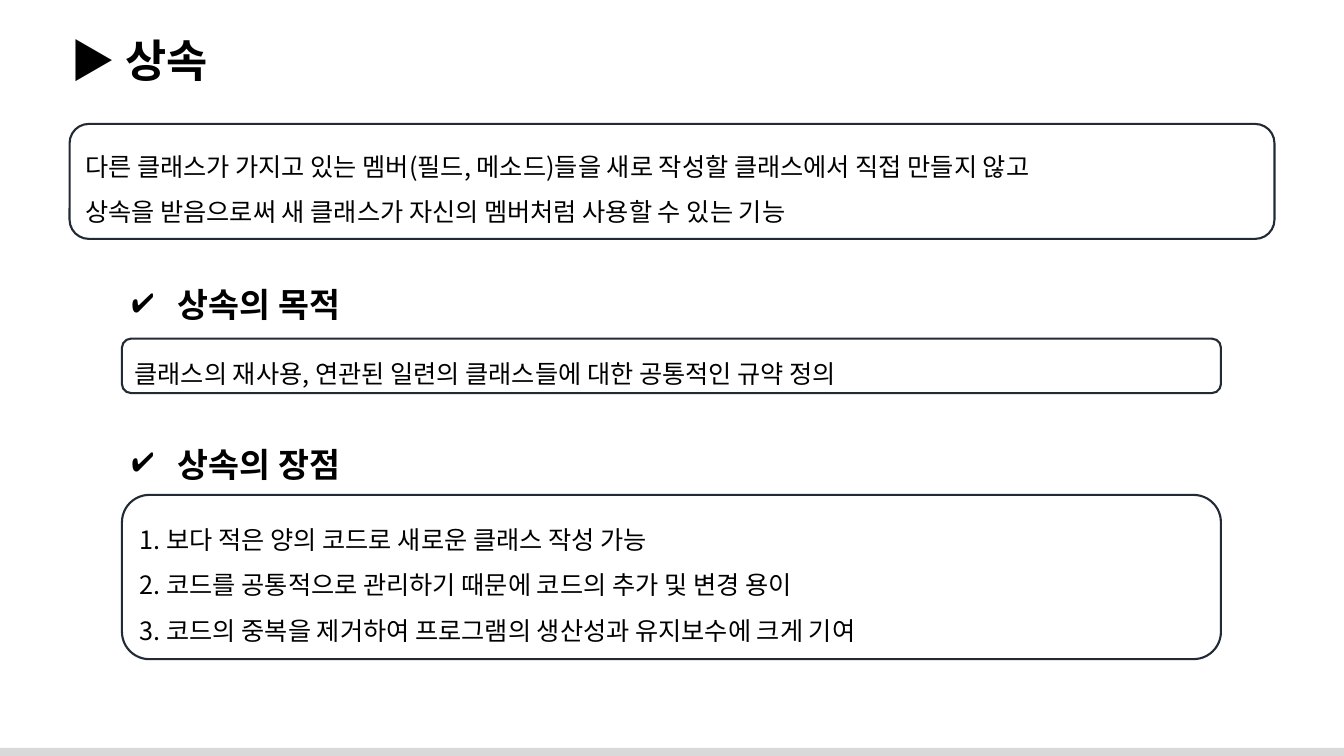
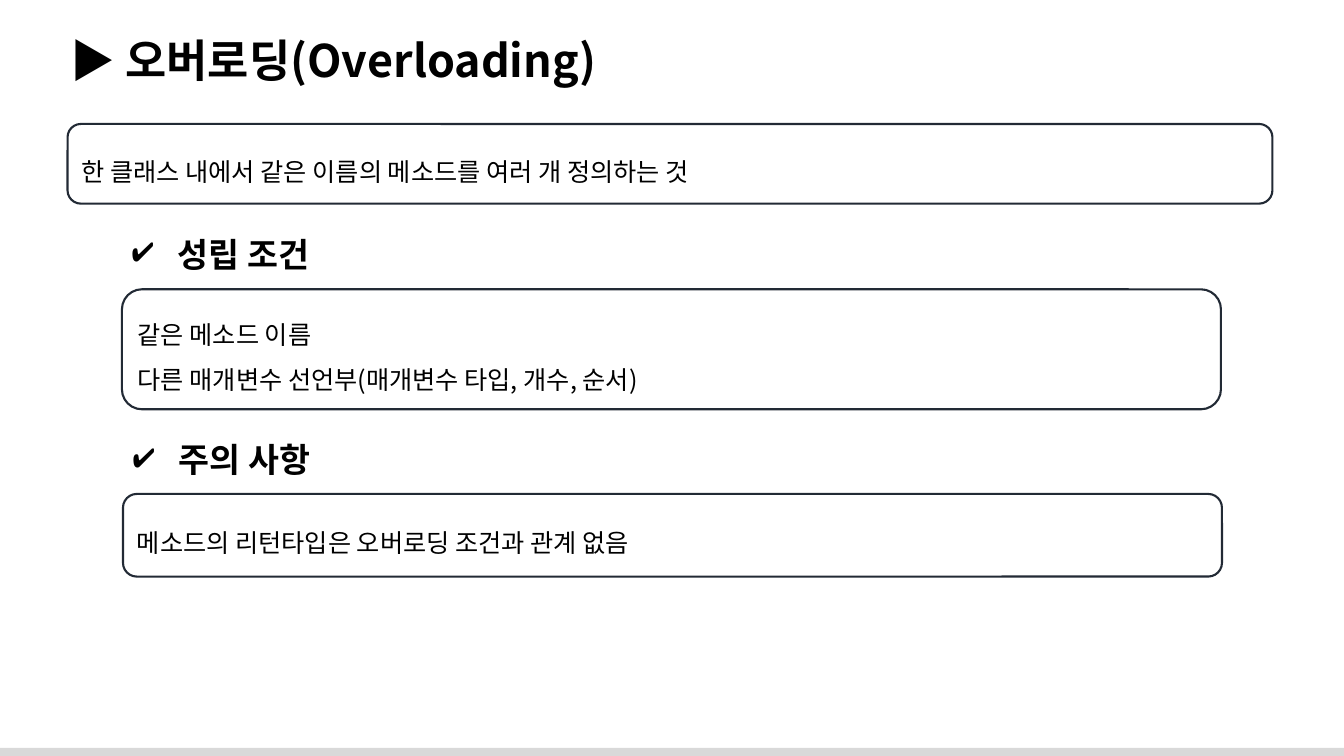
from dataclasses import dataclass

from lxml import etree
from pptx import Presentation
from pptx import util as u
from pptx.dml.color import RGBColor
from pptx.enum import shapes, text
from pptx.oxml import ns
from pptx.slide import Slide
from pptx.text.text import TextFrame

FONT = "Noto Sans CJK KR"
COLORS = {"text": "000000", "outline": "222A35", "band": "D9D9D9"}
SLIDE_WIDTH, SLIDE_HEIGHT = 13.33, 7.5
BAND_TOP = 7.42
SECTION_LEFT, SECTION_WIDTH = 1.21, 10.9
DEFINITION_TOP, DEFINITION_WIDTH = 1.23, 11.95
HEADING_WIDTH, HEADING_HEIGHT = 2.5, 0.5
HEADING_INDENT = 0.38


@dataclass(frozen=True)
class Box:
    top: float
    height: float
    lines: tuple[str, ...]
    left: float = SECTION_LEFT
    width: float = SECTION_WIDTH


@dataclass(frozen=True)
class Section:
    heading: str
    heading_top: float
    box: Box


@dataclass(frozen=True)
class Topic:
    title: str
    definition: Box
    sections: tuple[Section, ...]


TOPICS = (
    Topic(
        "상속",
        Box(DEFINITION_TOP, 1.14, (
            "다른 클래스가 가지고 있는 멤버(필드, 메소드)들을 새로 작성할 클래스에서 직접 만들지 않고",
            "상속을 받음으로써 새 클래스가 자신의 멤버처럼 사용할 수 있는 기능",
        ), 0.69, DEFINITION_WIDTH),
        (
            Section("상속의 목적", 2.77, Box(3.36, 0.54, (
                "클래스의 재사용, 연관된 일련의 클래스들에 대한 공통적인 규약 정의",
            ))),
            Section("상속의 장점", 4.35, Box(4.91, 1.63, (
                "1. 보다 적은 양의 코드로 새로운 클래스 작성 가능",
                "2. 코드를 공통적으로 관리하기 때문에 코드의 추가 및 변경 용이",
                "3. 코드의 중복을 제거하여 프로그램의 생산성과 유지보수에 크게 기여",
            ))),
        ),
    ),
    Topic(
        "오버로딩(Overloading)",
        Box(DEFINITION_TOP, 0.79, (
            "한 클래스 내에서 같은 이름의 메소드를 여러 개 정의하는 것",
        ), 0.67, DEFINITION_WIDTH),
        (
            Section("성립 조건", 2.27, Box(2.87, 1.19, (
                "같은 메소드 이름",
                "다른 매개변수 선언부(매개변수 타입, 개수, 순서)",
            ))),
            Section("주의 사항", 4.31, Box(4.9, 0.82, (
                "메소드의 리턴타입은 오버로딩 조건과 관계 없음",
            ), 1.22)),
        ),
    ),
)


def color(name: str) -> RGBColor:
    return RGBColor.from_string(COLORS[name])


def write_lines(frame: TextFrame, lines: tuple[str, ...], size: float,
                bold: bool = False, spacing: float = 1.0) -> None:
    frame.word_wrap = True
    frame.text = "\n".join(lines)
    for paragraph in frame.paragraphs:
        paragraph.alignment = text.PP_ALIGN.LEFT
        paragraph.line_spacing = spacing
        font = paragraph.font
        font.name, font.size, font.bold = FONT, u.Pt(size), bold
        font.color.rgb = color("text")
        # Korean glyphs use the East Asian font slot
        defaults = paragraph._p.pPr.find(ns.qn("a:defRPr"))
        etree.SubElement(defaults, ns.qn("a:ea"), typeface=FONT)


def add_text(slide: Slide, left: float, top: float, width: float, height: float,
             content: str, size: float) -> TextFrame:
    textbox = slide.shapes.add_textbox(
        u.Inches(left), u.Inches(top), u.Inches(width), u.Inches(height))
    write_lines(textbox.text_frame, (content,), size, bold=True)
    textbox.text_frame.auto_size = text.MSO_AUTO_SIZE.SHAPE_TO_FIT_TEXT
    return textbox.text_frame


def add_box(slide: Slide, box: Box) -> None:
    shape = slide.shapes.add_shape(
        shapes.MSO_SHAPE.ROUNDED_RECTANGLE, u.Inches(box.left), u.Inches(box.top),
        u.Inches(box.width), u.Inches(box.height))
    shape.shadow.inherit = False
    shape.fill.background()
    shape.line.color.rgb = color("outline")
    shape.line.width = u.Pt(1.5)
    shape.text_frame.vertical_anchor = text.MSO_ANCHOR.MIDDLE
    write_lines(shape.text_frame, box.lines, 18, spacing=1.5)


def add_section(slide: Slide, section: Section) -> None:
    frame = add_text(slide, section.box.left, section.heading_top, HEADING_WIDTH,
                     HEADING_HEIGHT, f" {section.heading}", 24)
    # Check mark bullet with a hanging indent
    properties = frame.paragraphs[0]._p.pPr
    properties.set("marL", str(u.Inches(HEADING_INDENT)))
    properties.set("indent", str(-u.Inches(HEADING_INDENT)))
    bullet = etree.Element(ns.qn("a:buChar"), char="✔")
    properties.find(ns.qn("a:defRPr")).addprevious(bullet)
    add_box(slide, section.box)


def add_band(slide: Slide) -> None:
    band = slide.shapes.add_shape(
        shapes.MSO_SHAPE.RECTANGLE, 0, u.Inches(BAND_TOP),
        u.Inches(SLIDE_WIDTH), u.Inches(SLIDE_HEIGHT - BAND_TOP))
    band.shadow.inherit = False
    band.fill.solid()
    band.fill.fore_color.rgb = color("band")
    band.line.fill.background()


def add_topic(presentation, topic: Topic) -> None:
    slide = presentation.slides.add_slide(presentation.slide_layouts[6])
    add_band(slide)
    add_text(slide, 0.6, 0.28, 12.6, 0.64, f"▶ {topic.title}", 32)
    add_box(slide, topic.definition)
    for section in topic.sections:
        add_section(slide, section)


def main() -> None:
    presentation = Presentation()
    presentation.slide_width = u.Inches(SLIDE_WIDTH)
    presentation.slide_height = u.Inches(SLIDE_HEIGHT)
    for topic in TOPICS:
        add_topic(presentation, topic)
    presentation.save("out.pptx")


if __name__ == "__main__":
    main()
